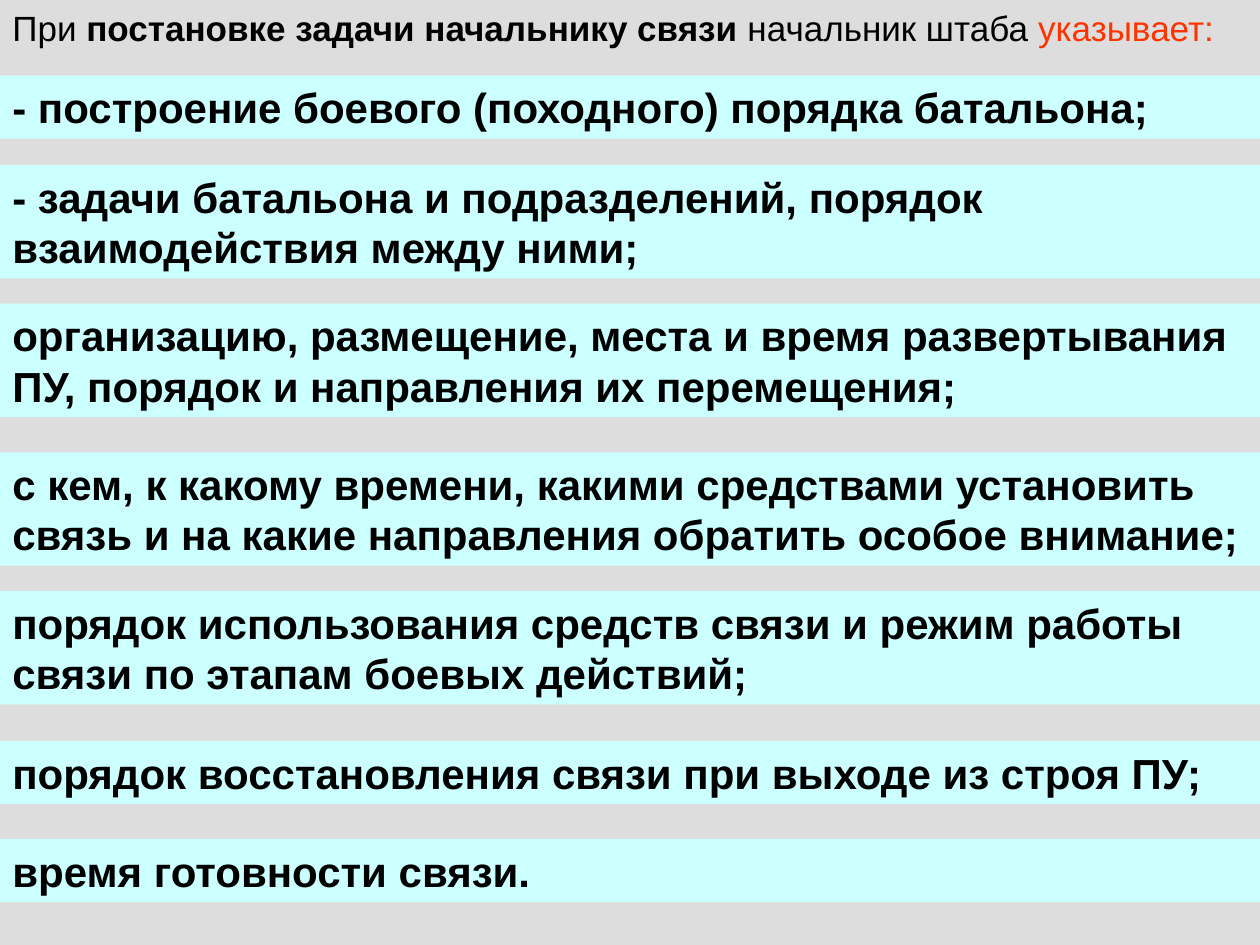
from pptx import Presentation
from pptx.dml.color import RGBColor
from pptx.enum.shapes import MSO_SHAPE
from pptx.enum.text import MSO_ANCHOR, MSO_AUTO_SIZE, PP_ALIGN
from pptx.util import Inches, Pt

RECTANGLE = MSO_SHAPE.RECTANGLE
TOP, LEFT = MSO_ANCHOR.TOP, PP_ALIGN.LEFT
GROW = MSO_AUTO_SIZE.SHAPE_TO_FIT_TEXT

GREY = RGBColor(0xDD, 0xDD, 0xDD)
CYAN = RGBColor(0xCC, 0xFF, 0xFF)
BLACK = RGBColor(0x00, 0x00, 0x00)
RED = RGBColor(0xFF, 0x33, 0x00)

FRAME = {"word_wrap": True, "auto_size": GROW, "vertical_anchor": TOP,
         "margin_left": Inches(0.1), "margin_right": Inches(0.1),
         "margin_top": Inches(0.05), "margin_bottom": Inches(0.05)}


def write(box, spans, size):
    """Fill a box with one paragraph of (text, bold, colour) spans."""
    for name, value in FRAME.items():
        setattr(box.text_frame, name, value)
    para = box.text_frame.paragraphs[0]
    para.alignment = LEFT
    for text, bold, colour in spans:
        span = para.add_run()
        span.text = text
        font = {"name": "Arial", "size": Pt(size), "bold": bold}
        for name, value in font.items():
            setattr(span.font, name, value)
        span.font.color.rgb = colour


deck = Presentation()
deck.slide_width, deck.slide_height = Inches(10), Inches(7.5)
page = deck.slides.add_slide(deck.slide_layouts[6])
page.background.fill.solid()
page.background.fill.fore_color.rgb = GREY

# Heading
heading = page.shapes.add_textbox(0, 0, deck.slide_width, Inches(0.44))
write(heading, [
    ("При", False, BLACK),
    (" постановке задачи начальнику связи", True, BLACK),
    (" начальник штаба ", False, BLACK),
    ("указывает:", False, RED),
], 20)

# Full-width bands: top, height, text
ONE_LINE, TWO_LINES = 0.5, 0.9
bands = [
    (0.6, ONE_LINE, "- построение боевого (походного) порядка батальона;"),
    (1.31, TWO_LINES, "- задачи батальона и подразделений, порядок "
                      "взаимодействия между ними;"),
    (2.41, TWO_LINES, "организацию, размещение, места и время развертывания "
                      "ПУ, порядок и направления их перемещения;"),
    (3.59, TWO_LINES, "с кем, к какому времени, какими средствами установить "
                      "связь и на какие направления обратить особое внимание;"),
    (4.69, TWO_LINES, "порядок использования средств связи и режим работы "
                      "связи по этапам боевых действий;"),
    (5.88, ONE_LINE, "порядок восстановления связи при выходе из строя ПУ;"),
    (6.66, ONE_LINE, "время готовности связи."),
]
for top, height, text in bands:
    band = page.shapes.add_shape(RECTANGLE, 0, Inches(top),
                                 deck.slide_width, Inches(height))
    band.shadow.inherit = False
    band.fill.solid()
    band.fill.fore_color.rgb = CYAN
    band.line.fill.background()
    write(band, [(text, True, BLACK)], 24)

deck.save("out.pptx")
